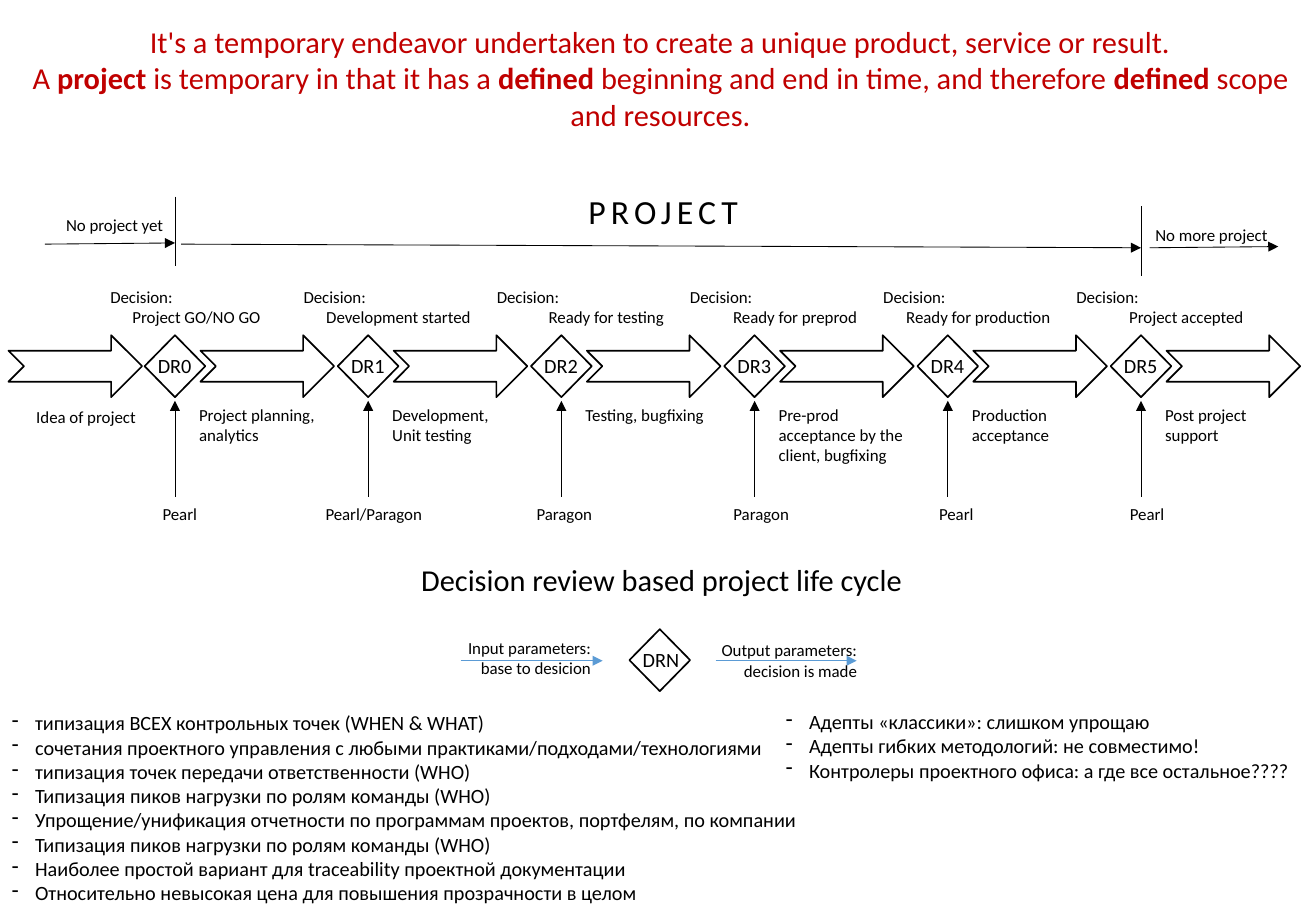
"""Build the slide on the decision review based project life cycle."""
import pptx
import pptx.dml.color
import pptx.enum.shapes
import pptx.enum.text
import pptx.oxml
import pptx.oxml.ns
import pptx.util

EMU_PER_PX = 9144
SLIDE_SIZE = (1083, 750)
FONT = "Calibri"
COLORS = {"headline": "C00000", "ink": "000000", "flow": "5B9BD5"}

HEADLINE_BOX = (12, 14, 1063, 101)
HEADLINE = [
    "It's a temporary endeavor undertaken to create a unique product, service or result.",
    "A *project* is temporary in that it has a *defined* beginning and end in time, "
    "and therefore *defined* scope and resources.",
]

FIRST_GATE, GATE_PITCH, GATE_TOP = 119, 159, 276
GATE_SIZE = (50, 51)
STAGE_SIZE = (110, 51)
# decision, decision width, activity, responsible, responsible offset and width
GATES = [
    ("Project GO/NO GO", 143, "Project planning, analytics", "Pearl", -3, 56),
    ("Development started", 157, "Development, Unit testing", "Pearl/Paragon", -30, 109),
    ("Ready for testing", 157, "Testing, bugfixing", "Paragon", -9, 69),
    ("Ready for preprod", 157, "Pre-prod acceptance by the client, bugfixing", "Paragon", -12, 75),
    ("Ready for production", 157, "Production acceptance", "Pearl", 0, 56),
    ("Project accepted", 157, "Post project support", "Pearl", -2, 56),
]

# text, box, size, alignment
LABELS = [
    ("Idea of project", (20, 330, 124, 27), 10, "left"),
    ("No project yet", (20, 172, 124, 27), 10, "right"),
    ("No more project", (941, 180, 124, 27), 10, "left"),
    ("Decision review based project life cycle", (37, 457, 1015, 40), 18, "center"),
    ("Input parameters: base to desicion", (372, 520, 124, 44), 10, "right"),
    ("Output parameters: decision is made", (578, 522, 137, 44), 10, "right"),
]
PROJECT_BOX = (348, 152, 269, 44)
SAMPLE_GATE = (518, 518)

# start, end, color, arrow
LINES = [
    ((144, 162), (144, 219), "ink", False),
    ((37, 201), (144, 200), "ink", True),
    ((149, 201), (939, 204), "ink", True),
    ((939, 170), (939, 227), "ink", False),
    ((946, 204), (1052, 203), "ink", True),
    ((379, 544), (496, 544), "flow", True),
    ((589, 544), (705, 544), "flow", True),
]

BULLET_LISTS = [
    ((0, 580, 668, 172), [
        "типизация ВСЕХ контрольных точек (WHEN & WHAT)",
        "сочетания проектного управления с любыми практиками/подходами/технологиями",
        "типизация точек передачи ответственности (WHO)",
        "Типизация пиков нагрузки по ролям команды (WHO)",
        "Упрощение/унификация отчетности по программам проектов, портфелям, по компании",
        "Типизация пиков нагрузки по ролям команды (WHO)",
        "Наиболее простой вариант для traceability проектной документации",
        "Относительно невысокая цена для повышения прозрачности в целом",
    ]),
    ((637, 579, 447, 71), [
        "Адепты «классики»: слишком упрощаю",
        "Адепты гибких методологий: не совместимо!",
        "Контролеры проектного офиса: а где все остальное????",
    ]),
]
BULLET_INDENT = 19

ALIGNMENTS = {
    "left": pptx.enum.text.PP_ALIGN.LEFT,
    "center": pptx.enum.text.PP_ALIGN.CENTER,
    "right": pptx.enum.text.PP_ALIGN.RIGHT,
}
SHAPES = pptx.enum.shapes.MSO_SHAPE


def px(value):
    return pptx.util.Emu(value * EMU_PER_PX)


def rgb(name):
    return pptx.dml.color.RGBColor.from_string(COLORS[name])


def format_font(font, size, color="ink"):
    font.name = FONT
    font.size = pptx.util.Pt(size)
    font.color.rgb = rgb(color)


def add_element(parent, tag, **attributes):
    element = pptx.oxml.parse_xml(f"<a:{tag} {pptx.oxml.ns.nsdecls('a')}/>")
    for name, value in attributes.items():
        element.set(name, value)
    parent.append(element)


def add_text(slide, lines, box, size, alignments):
    shape = slide.shapes.add_textbox(*map(px, box))
    frame = shape.text_frame
    frame.word_wrap = True
    frame.auto_size = pptx.enum.text.MSO_AUTO_SIZE.SHAPE_TO_FIT_TEXT
    frame.text = "\n".join(lines)
    for paragraph, alignment in zip(frame.paragraphs, alignments):
        paragraph.alignment = ALIGNMENTS[alignment]
        for run in paragraph.runs:
            format_font(run.font, size)
    return shape


def add_outline(slide, kind, left, top, size):
    shape = slide.shapes.add_shape(kind, *map(px, (left, top, *size)))
    shape.shadow.inherit = False
    shape.fill.background()
    shape.line.color.rgb = rgb("ink")
    shape.line.width = pptx.util.Pt(1)


def add_gate(slide, name, left, top):
    add_outline(slide, SHAPES.FLOWCHART_DECISION, left, top, GATE_SIZE)
    add_text(slide, [name], (left + 1, top + 10, 58, 30), 12, ["left"])


def add_line(slide, start, end, color, arrow):
    straight = pptx.enum.shapes.MSO_CONNECTOR.STRAIGHT
    connector = slide.shapes.add_connector(straight, *map(px, (*start, *end)))
    connector.line.color.rgb = rgb(color)
    connector.line.width = pptx.util.Pt(0.5)
    if arrow:
        add_element(connector.line._get_or_add_ln(), "tailEnd", type="triangle")
    add_element(connector._element.spPr, "effectLst")


def add_headline(slide):
    title = slide.shapes.title
    title.left, title.top, title.width, title.height = map(px, HEADLINE_BOX)
    frame = title.text_frame
    frame.word_wrap = True
    frame.auto_size = pptx.enum.text.MSO_AUTO_SIZE.NONE
    frame.vertical_anchor = pptx.enum.text.MSO_ANCHOR.TOP
    for index, line in enumerate(HEADLINE):
        paragraph = frame.add_paragraph() if index else frame.paragraphs[0]
        paragraph.alignment = ALIGNMENTS["center"]
        for part, text in enumerate(line.split("*")):
            run = paragraph.add_run()
            run.text = text
            format_font(run.font, 18, "headline")
            run.font.bold = part % 2 == 1


def add_life_cycle(slide):
    stage = SHAPES.NOTCHED_RIGHT_ARROW
    add_outline(slide, stage, FIRST_GATE - 112, GATE_TOP, STAGE_SIZE)
    for index, (decision, width, activity, role, offset, role_width) in enumerate(GATES):
        left = FIRST_GATE + index * GATE_PITCH
        add_outline(slide, stage, left + 46, GATE_TOP, STAGE_SIZE)
        add_gate(slide, f"DR{index}", left, GATE_TOP)
        add_text(slide, ["Decision:", decision], (left - 38, 231, width, 44), 10, ["left", "right"])
        add_text(slide, [activity], (left + 35, 328, 124, 44), 10, ["left"])
        add_line(slide, (left + 25, 409), (left + 25, 330), "ink", True)
        add_text(slide, [role], (left + offset, 410, role_width, 27), 10, ["right"])


def add_bullets(slide, box, lines):
    shape = add_text(slide, lines, box, 12, ["left"] * len(lines))
    for paragraph in shape.text_frame.paragraphs:
        properties = paragraph._p.get_or_add_pPr()
        properties.set("marL", str(px(BULLET_INDENT)))
        properties.set("indent", str(px(-BULLET_INDENT)))
        add_element(properties, "buChar", char="-")


def main():
    presentation = pptx.Presentation()
    presentation.slide_width, presentation.slide_height = map(px, SLIDE_SIZE)
    slide = presentation.slides.add_slide(presentation.slide_layouts[5])
    add_headline(slide)
    add_life_cycle(slide)
    add_gate(slide, "DRN", *SAMPLE_GATE)
    for line in LINES:
        add_line(slide, *line)
    for text, box, size, alignment in LABELS:
        add_text(slide, [text], box, size, [alignment])
    project = add_text(slide, ["PROJECT"], PROJECT_BOX, 20, ["right"])
    project.text_frame.paragraphs[0].runs[0]._r.get_or_add_rPr().set("spc", "300")
    for box, lines in BULLET_LISTS:
        add_bullets(slide, box, lines)
    presentation.save("out.pptx")


if __name__ == "__main__":
    main()
